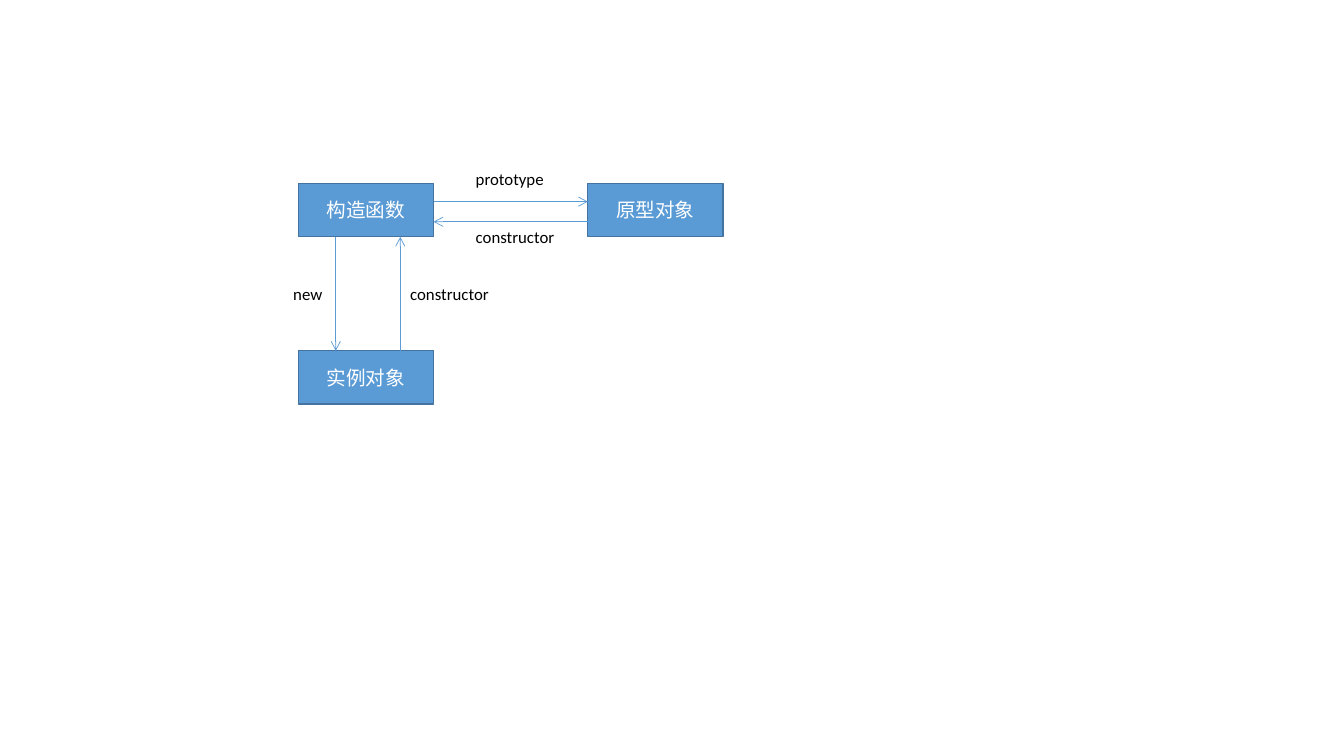
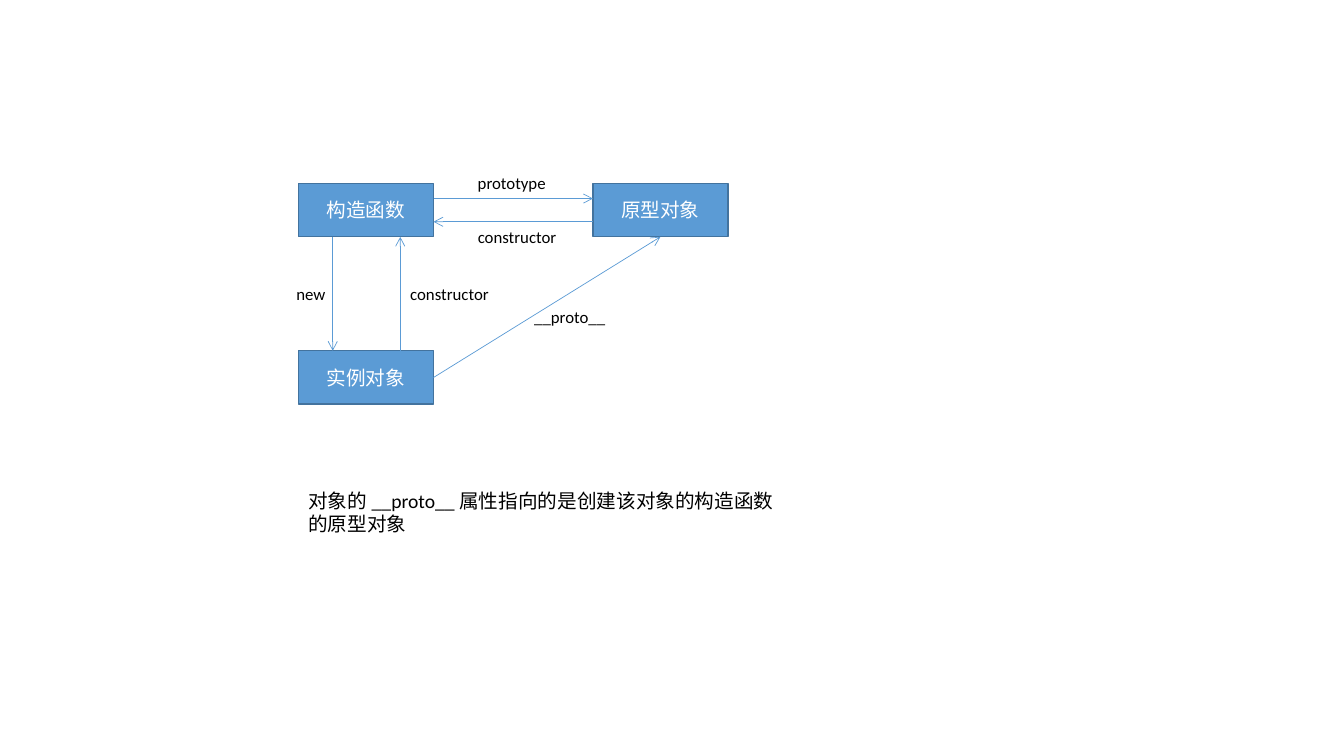
from dataclasses import dataclass
from lxml.etree import SubElement
from pptx import Presentation
from pptx.dml.color import RGBColor
from pptx.enum.shapes import MSO_CONNECTOR, MSO_SHAPE
from pptx.enum.text import MSO_ANCHOR, MSO_AUTO_SIZE, PP_ALIGN
from pptx.oxml.ns import qn
from pptx.util import Inches, Pt


@dataclass(frozen=True)
class Theme:
    font: str = "Calibri"
    blue: RGBColor = RGBColor(0x5B, 0x9B, 0xD5)
    edge: RGBColor = RGBColor(0x43, 0x73, 0x9E)
    white: RGBColor = RGBColor(0xFF, 0xFF, 0xFF)
    black: RGBColor = RGBColor(0, 0, 0)
    body: int = 14
    label: int = 12
    border: float = 1
    wire: float = 0.5


@dataclass
class Deck:
    theme: Theme
    show: object
    slide: object = None

    def page(self):
        self.slide = self.show.slides.add_slide(self.show.slide_layouts[6])

    def label(self, frame, text, size, color):
        frame.word_wrap = True
        frame.text = text
        font = frame.paragraphs[0].runs[0].font
        style = {"name": self.theme.font, "size": Pt(size)}
        for key, value in style.items():
            setattr(font, key, value)
        font.color.rgb = color

    def box(self, left, top, text):
        shape = self.slide.shapes.add_shape(
            MSO_SHAPE.RECTANGLE, Inches(left), Inches(top), Inches(WIDE), Inches(HIGH))
        shape.shadow.inherit = False
        shape.fill.solid()
        shape.fill.fore_color.rgb = self.theme.blue
        shape.line.color.rgb = self.theme.edge
        shape.line.width = Pt(self.theme.border)
        frame = shape.text_frame
        self.label(frame, text, self.theme.body, self.theme.white)
        frame.vertical_anchor = MSO_ANCHOR.MIDDLE
        frame.paragraphs[0].alignment = PP_ALIGN.CENTER
        return shape

    def note(self, left, top, width, text, height=0.3, size=None):
        shape = self.slide.shapes.add_textbox(
            Inches(left), Inches(top), Inches(width), Inches(height))
        self.label(shape.text_frame, text, size or self.theme.label, self.theme.black)
        shape.text_frame.auto_size = MSO_AUTO_SIZE.SHAPE_TO_FIT_TEXT

    def arrow(self, *ends):
        line = self.slide.shapes.add_connector(
            MSO_CONNECTOR.STRAIGHT, *[Inches(end) for end in ends])
        line.line.color.rgb = self.theme.blue
        line.line.width = Pt(self.theme.wire)
        form = line.element.spPr
        SubElement(form.find(qn("a:ln")), qn("a:tailEnd"), type="arrow")
        SubElement(form, qn("a:effectLst"))
        return line

    def link(self, start, side, end, port):
        line = self.arrow(0, 0, 1, 1)
        line.begin_connect(start, side)
        line.end_connect(end, port)


WIDE, HIGH = 1.34, 0.53
LEFT, TOP, LOW = 2.96, 1.82, 3.48
EDGE, BASE = LEFT + WIDE, TOP + HIGH
BACK, RISE, MID = 2.2, 3.97, 2.77
RIGHT, BOTTOM = 3, 2


def graph(deck, far, ahead, fall, name, new, span):
    deck.page()
    deck.box(LEFT, TOP, "构造函数")
    proto = deck.box(far, TOP, "原型对象")
    item = deck.box(LEFT, LOW, "实例对象")
    deck.arrow(EDGE, ahead, far, ahead)
    deck.arrow(far, BACK, EDGE, BACK)
    deck.arrow(fall, BASE, fall, LOW)
    deck.arrow(RISE, LOW, RISE, BASE)
    left, top = name
    deck.note(left, top, 0.9, "prototype")
    deck.note(left, BACK, span, "constructor")
    deck.note(new, MID, 0.55, "new")
    deck.note(RISE, MID, span, "constructor")
    return item, proto


show = Presentation()
show.slide_width, show.slide_height = Inches(13.33), Inches(7.5)
deck = Deck(Theme(), show)

graph(deck, far=5.83, ahead=2, fall=3.33, name=(4.62, 1.62), new=2.81, span=1.12)

item, proto = graph(
    deck, far=5.88, ahead=1.97, fall=3.3, name=(4.64, 1.66), new=2.84, span=1.05)
deck.link(item, RIGHT, proto, BOTTOM)
deck.note(5.2, 2.99, 1.05, "__proto__")
deck.note(LEFT, 4.8, 4.94, "对象的 __proto__ 属性指向的是创建该对象的构造函数的原型对象",
          height=0.57, size=deck.theme.body)

show.save("out.pptx")
